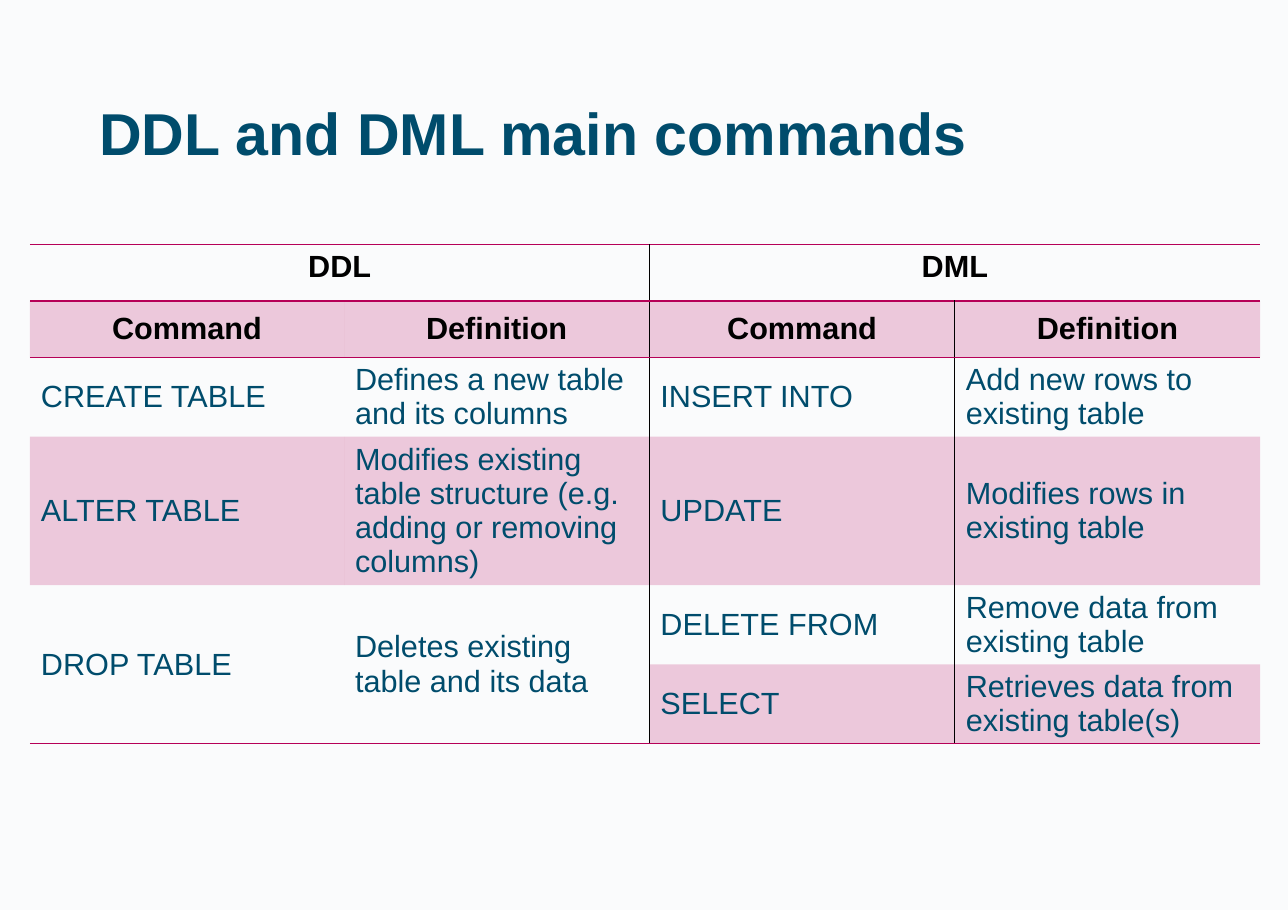
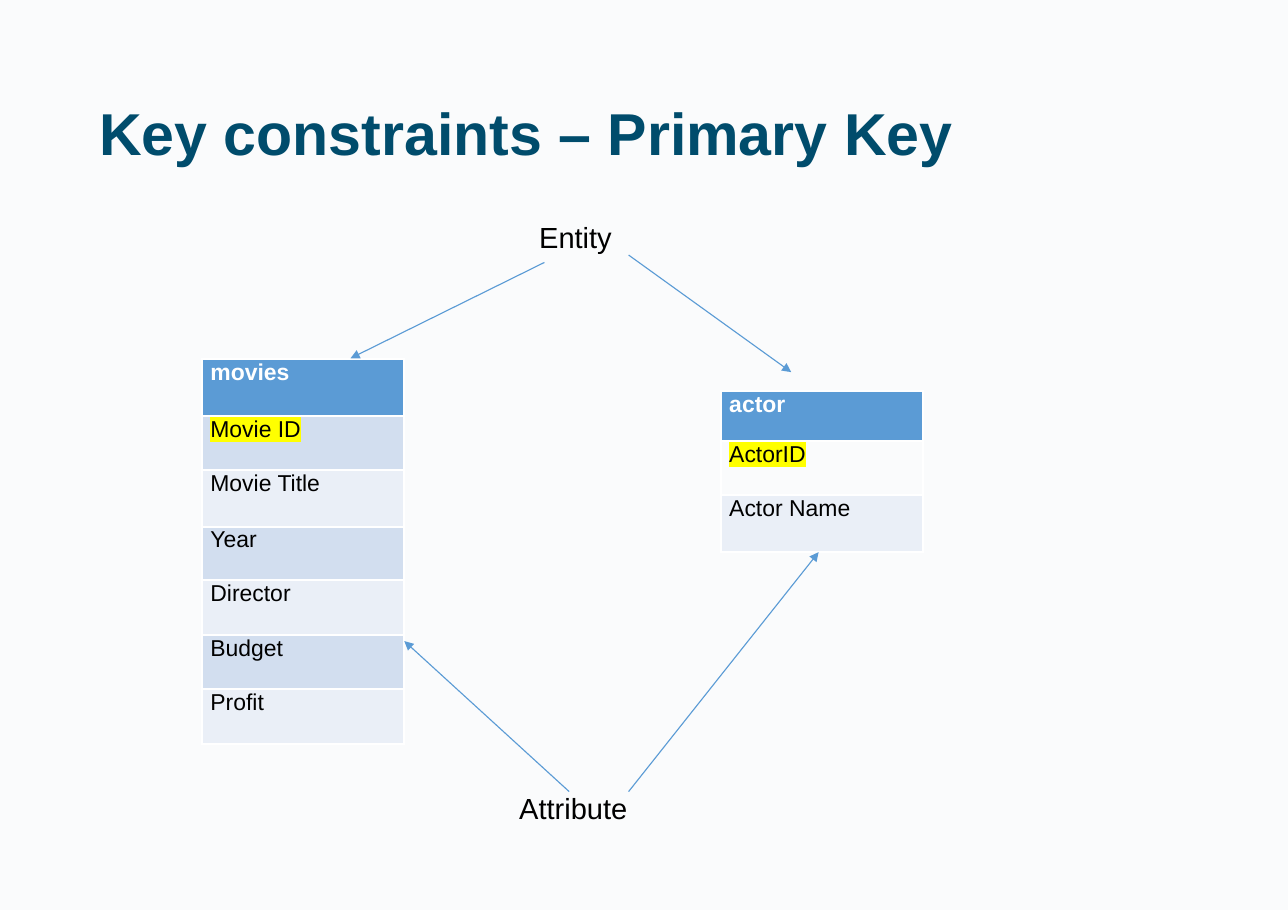
import pptx
import pptx.dml.color
import pptx.enum.shapes
import pptx.enum.text
import pptx.oxml
import pptx.oxml.ns
import pptx.util
from lxml import etree

Cm, Pt = pptx.util.Cm, pptx.util.Pt
RGB = pptx.dml.color.RGBColor.from_string
ALIGN, ANCHOR = pptx.enum.text.PP_ALIGN, pptx.enum.text.MSO_ANCHOR
qn = pptx.oxml.ns.qn
FONT = "Arial"
NO_GRID_STYLE = "{2D5ABB26-0587-4C30-8999-92F81FD0307C}"
COLORS = {
    "background": "FAFBFC", "teal": "004C6C", "berry": "B60057",
    "black": "000000", "white": "FFFFFF", "blue": "5B9BD5",
    "dark_band": "D2DEEF", "light_band": "EAEFF7", "yellow": "FFFF00",
}


def style_text(paragraph, size, color, bold=False):
    for run in paragraph.runs:
        run.font.name = FONT
        run.font.size = Pt(size)
        run.font.bold = bold
        run.font.color.rgb = RGB(COLORS[color])


def add_border(cell, side, color, width):
    """Draw one edge of a cell; side is L, R, T or B, called in that order."""
    line = etree.SubElement(cell._tc.get_or_add_tcPr(), qn("a:ln" + side), w=str(Pt(width)))
    fill = etree.SubElement(line, qn("a:solidFill"))
    etree.SubElement(fill, qn("a:srgbClr"), val=COLORS[color])


prs = pptx.Presentation()
prs.slide_width, prs.slide_height = Cm(29.69), Cm(20.98)
master_fill = prs.slide_master.background.fill
master_fill.solid()
master_fill.fore_color.rgb = RGB(COLORS["background"])

# Titled slides
title_only = prs.slide_layouts[5]
slides = []
for heading in ("DDL and DML main commands", "Key constraints – Primary Key"):
    slide = prs.slides.add_slide(title_only)
    title = slide.shapes.title
    title.left, title.top, title.width, title.height = Cm(2.03), Cm(1.12), Cm(25.63), Cm(4.06)
    frame = title.text_frame
    frame.text = heading
    frame.auto_size = pptx.enum.text.MSO_AUTO_SIZE.NONE
    frame.vertical_anchor = ANCHOR.MIDDLE
    frame.paragraphs[0].alignment = ALIGN.LEFT
    frame.paragraphs[0].line_spacing = 0.9
    style_text(frame.paragraphs[0], 38.6, "teal", True)
    slides.append(slide)
commands_slide, keys_slide = slides

# Commands table
commands = [
    ("DDL", "", "DML", ""),
    ("Command", "Definition", "Command", "Definition"),
    ("CREATE TABLE", "Defines a new table and its columns",
     "INSERT INTO", "Add new rows to existing table"),
    ("ALTER TABLE", "Modifies existing table structure (e.g. adding or removing columns)",
     "UPDATE", "Modifies rows in existing table"),
    ("DROP TABLE", "Deletes existing table and its data",
     "DELETE FROM", "Remove data from existing table"),
    ("", "", "SELECT", "Retrieves data from existing table(s)"),
]
column_widths = (7.24, 7.04, 7.04, 7.04)
row_heights = (1.3, 1.3, 1.82, 3.42, 1.82, 1.82)
commands_table = commands_slide.shapes.add_table(
    len(commands), 4, Cm(0.69), Cm(5.64), Cm(sum(column_widths)), Cm(sum(row_heights))).table
commands_table._tbl.tblPr.find(qn("a:tableStyleId")).text = NO_GRID_STYLE
for column, width in zip(commands_table.columns, column_widths):
    column.width = Cm(width)
for row, height in zip(commands_table.rows, row_heights):
    row.height = Cm(height)
for first, last in (((0, 0), (0, 1)), ((0, 2), (0, 3)), ((4, 0), (5, 0)), ((4, 1), (5, 1))):
    commands_table.cell(*first).merge(commands_table.cell(*last))

last_row = len(commands) - 1
for r, texts in enumerate(commands):
    is_header = r < 2
    for c, text in enumerate(texts):
        cell = commands_table.cell(r, c)
        if text:
            cell.text = text
            cell.vertical_anchor = ANCHOR.TOP if r == 0 else ANCHOR.MIDDLE
            paragraph = cell.text_frame.paragraphs[0]
            paragraph.alignment = ALIGN.CENTER if is_header else ALIGN.LEFT
            style_text(paragraph, 20, "black" if is_header else "teal", is_header)
        if c == 2 or (c == 3 and r > 0):
            add_border(cell, "L", "black", 1)
        if c == 1 or (c == 2 and r > 0):
            add_border(cell, "R", "black", 1)
        if r < 2:
            add_border(cell, "T", "berry", 1)
        if r == 0 or r == last_row or (r == 4 and c < 2):
            add_border(cell, "B", "berry", 1)
        if r % 2 and not cell.is_spanned:
            cell.fill.solid()
            cell.fill.fore_color.rgb = RGB(COLORS["berry"])
            tint = cell._tc.tcPr.find(qn("a:solidFill"))[0]
            etree.SubElement(tint, qn("a:alpha"), val="20000")
        else:
            cell.fill.background()

# Entity tables: name, key and attributes with row height and fill
entities = [
    (4.65, 8.28, [("movies", 1.31, "blue"), ("Movie ID", 1.24, "dark_band"),
                  ("Movie Title", 1.31, "light_band"), ("Year", 1.24, "dark_band"),
                  ("Director", 1.27, "light_band"), ("Budget", 1.24, "dark_band"),
                  ("Profit", 1.27, "light_band")]),
    (16.61, 9.02, [("actor", 1.15, "blue"), ("ActorID", 1.24, None),
                   ("Actor Name", 1.31, "light_band")]),
]
for left, top, fields in entities:
    entity_table = keys_slide.shapes.add_table(
        len(fields), 1, Cm(left), Cm(top), Cm(4.67), Cm(sum(f[1] for f in fields))).table
    for r, (field, height, band) in enumerate(fields):
        entity_table.rows[r].height = Cm(height)
        cell = entity_table.cell(r, 0)
        cell.text = field
        cell.margin_left = Cm(0.2)
        cell.margin_right = cell.margin_top = cell.margin_bottom = 0
        paragraph = cell.text_frame.paragraphs[0]
        paragraph.line_spacing = Pt(17.1)
        style_text(paragraph, 15, "white" if r == 0 else "black", r == 0)
        if r == 1:
            latin = paragraph.runs[0]._r.rPr.find(qn("a:latin"))
            highlight = etree.Element(qn("a:highlight"))
            etree.SubElement(highlight, qn("a:srgbClr"), val=COLORS["yellow"])
            latin.addprevious(highlight)
        for side in "LRTB":
            add_border(cell, side, "white", 1.5)
        if band:
            cell.fill.solid()
            cell.fill.fore_color.rgb = RGB(COLORS[band])
        else:
            cell.fill.background()

# Labels and their arrows
for label, left, top, width in (("Entity", 12.4, 5.03, 2.08), ("Attribute", 11.94, 18.19, 2.97)):
    frame = keys_slide.shapes.add_textbox(Cm(left), Cm(top), Cm(width), Cm(0.84)).text_frame
    frame.word_wrap = True
    frame.margin_left = frame.margin_top = Cm(0.03)
    frame.margin_right = frame.margin_bottom = 0
    frame.text = label
    frame.paragraphs[0].space_before = Pt(1)
    style_text(frame.paragraphs[0], 19, "black")

arrows = [
    (12.55, 6.05, 8.08, 8.26),     # Entity to movies
    (14.49, 5.88, 18.24, 8.58),    # Entity to actor
    (13.12, 18.25, 9.32, 14.78),   # Attribute to movies
    (14.49, 18.25, 18.87, 12.73),  # Attribute to actor
]
for ends in arrows:
    arrow = keys_slide.shapes.add_connector(
        pptx.enum.shapes.MSO_CONNECTOR.STRAIGHT, *(Cm(value) for value in ends))
    arrow.line.color.rgb = RGB(COLORS["blue"])
    arrow.line.width = Pt(0.75)
    etree.SubElement(arrow.line._get_or_add_ln(), qn("a:tailEnd"), type="triangle")
    etree.SubElement(arrow._element.spPr, qn("a:effectLst"))

prs.save("out.pptx")
